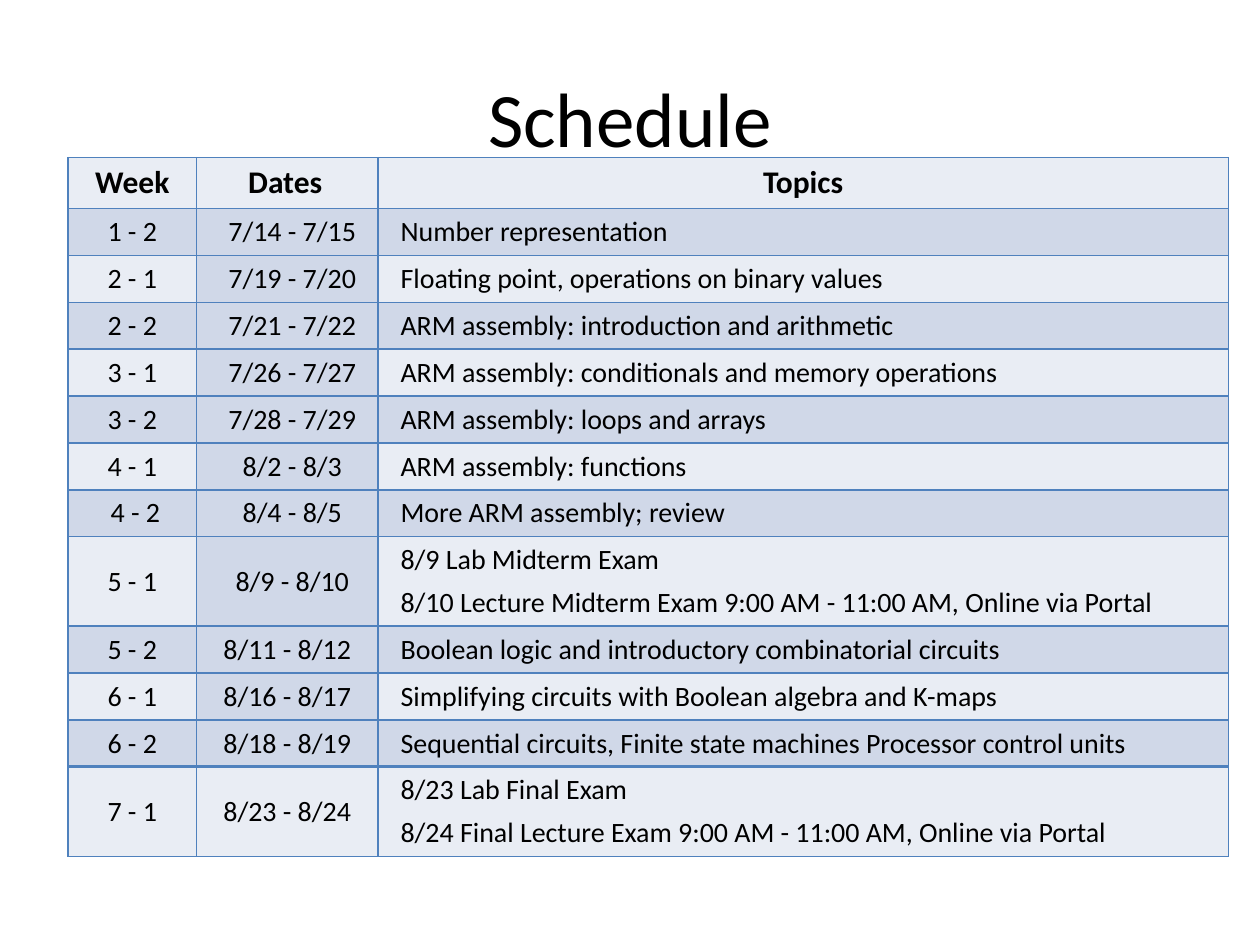
from lxml.etree import SubElement
from pptx import Presentation
from pptx.dml.color import RGBColor
from pptx.enum.text import MSO_ANCHOR, PP_ALIGN
from pptx.oxml.ns import qn
from pptx.util import Inches, Pt

TITLE = "Schedule"
HEADER = ("Week", "Dates", "Topics")
SESSIONS = [
    ("1 - 2", "7/14 - 7/15", ["Number representation"]),
    ("2 - 1", "7/19 - 7/20", ["Floating point, operations on binary values"]),
    ("2 - 2", "7/21 - 7/22", ["ARM assembly: introduction and arithmetic"]),
    ("3 - 1", "7/26 - 7/27", ["ARM assembly: conditionals and memory operations"]),
    ("3 - 2", "7/28 - 7/29", ["ARM assembly: loops and arrays"]),
    ("4 - 1", "8/2 - 8/3", ["ARM assembly: functions"]),
    (" 4 - 2", "8/4 - 8/5", ["More ARM assembly; review"]),
    ("5 - 1", "8/9 - 8/10", [
        "8/9 Lab Midterm Exam",
        "8/10 Lecture Midterm Exam 9:00 AM - 11:00 AM, Online via Portal"]),
    ("5 - 2", "8/11 - 8/12", ["Boolean logic and introductory combinatorial circuits"]),
    ("6 - 1", "8/16 - 8/17", ["Simplifying circuits with Boolean algebra and K-maps"]),
    ("6 - 2", "8/18 - 8/19", [
        "Sequential circuits, Finite state machines Processor control units"]),
    ("7 - 1", "8/23 - 8/24", [
        "8/23 Lab Final Exam",
        "8/24 Final Lecture Exam 9:00 AM - 11:00 AM, Online via Portal"]),
]
COLUMN_WIDTHS = (1.02, 1.44, 6.75)
HEADER_HEIGHT = 0.4
LINE_HEIGHTS = {1: 0.37, 2: 0.71}
LIGHT, DARK, BORDER, BLACK = "E9EDF4", "D0D8E8", "4F81BD", "000000"
HEADER_FONT = {"name": "Calibri", "size": Pt(18), "bold": True}
BODY_FONT = {"name": "Calibri", "size": Pt(16), "bold": False}
TITLE_FONT = {"name": "Calibri", "size": Pt(44), "bold": False}
LEFT, CENTER = PP_ALIGN.LEFT, PP_ALIGN.CENTER


def color(value):
    """Turn a hex string into a colour."""
    return RGBColor.from_string(value)


def format_paragraph(para, font, alignment, indent=0):
    """Set the font, alignment and left indent of a paragraph."""
    para.alignment = alignment
    if indent:
        para._p.get_or_add_pPr().set("marL", str(Inches(indent)))
    for span in para.runs:
        for name, value in font.items():
            setattr(span.font, name, value)
        span.font.color.rgb = color(BLACK)


def add_borders(cell, widths):
    """Draw the four borders of a cell, widths in points by side."""
    properties = cell._tc.get_or_add_tcPr()
    for side, width in widths.items():
        line = SubElement(properties, qn(f"a:ln{side}"), w=str(Pt(width)))
        fill = SubElement(line, qn("a:solidFill"))
        SubElement(fill, qn("a:srgbClr"), val=BORDER)


def fill_cell(cell, lines, font, alignment, indent, shade, borders):
    """Write the lines of one cell and style it."""
    cell.text = "\n".join(lines)
    cell.vertical_anchor = MSO_ANCHOR.MIDDLE
    for index, para in enumerate(cell.text_frame.paragraphs):
        format_paragraph(para, font, alignment, indent)
        if index:
            para.space_before = Pt(4.8)
    add_borders(cell, borders)
    cell.fill.solid()
    cell.fill.fore_color.rgb = color(shade)


def add_title(page):
    """Place and format the title."""
    title = page.shapes.title
    title.left, title.top, title.width, title.height = map(Inches, (0.5, 0.3, 9, 1.25))
    title.text = TITLE
    title.text_frame.vertical_anchor = MSO_ANCHOR.MIDDLE
    format_paragraph(title.text_frame.paragraphs[0], TITLE_FONT, CENTER)


def add_schedule(page):
    """Build the schedule table."""
    heights = [HEADER_HEIGHT] + [LINE_HEIGHTS[len(topics)] for _, _, topics in SESSIONS]
    last = len(SESSIONS)
    table = page.shapes.add_table(
        last + 1, len(HEADER), Inches(0.54), Inches(1.25),
        Inches(sum(COLUMN_WIDTHS)), Inches(sum(heights))).table
    for column, width in zip(table.columns, COLUMN_WIDTHS):
        column.width = Inches(width)
    for row, height in zip(table.rows, heights):
        row.height = Inches(height)

    header_layout = ((CENTER, 0), (LEFT, 0.31), (CENTER, 0))
    for index, (text, (alignment, indent)) in enumerate(zip(HEADER, header_layout)):
        fill_cell(table.cell(0, index), [text], HEADER_FONT, alignment, indent,
                  LIGHT, dict.fromkeys("LRTB", 1))

    for number, (week, dates, topics) in enumerate(SESSIONS, 1):
        shade = DARK if number % 2 else LIGHT
        date_shade = LIGHT if number == last else DARK
        date_indent = 0.08 if number <= 8 else 0
        borders = {"L": 1, "R": 1, "T": 2 if number == last else 1,
                   "B": 2 if number == last - 1 else 1}
        columns = (([week], CENTER, 0, shade),
                   ([dates], CENTER, date_indent, date_shade),
                   (topics, LEFT, 0.08, shade))
        for index, (lines, alignment, indent, cell_shade) in enumerate(columns):
            fill_cell(table.cell(number, index), lines, BODY_FONT, alignment,
                      indent, cell_shade, borders)


def main():
    """Build and save the deck."""
    deck = Presentation()
    deck.slide_width, deck.slide_height = Inches(10), Inches(7.5)
    page = deck.slides.add_slide(deck.slide_layouts[5])
    add_title(page)
    add_schedule(page)
    deck.save("out.pptx")


if __name__ == "__main__":
    main()
